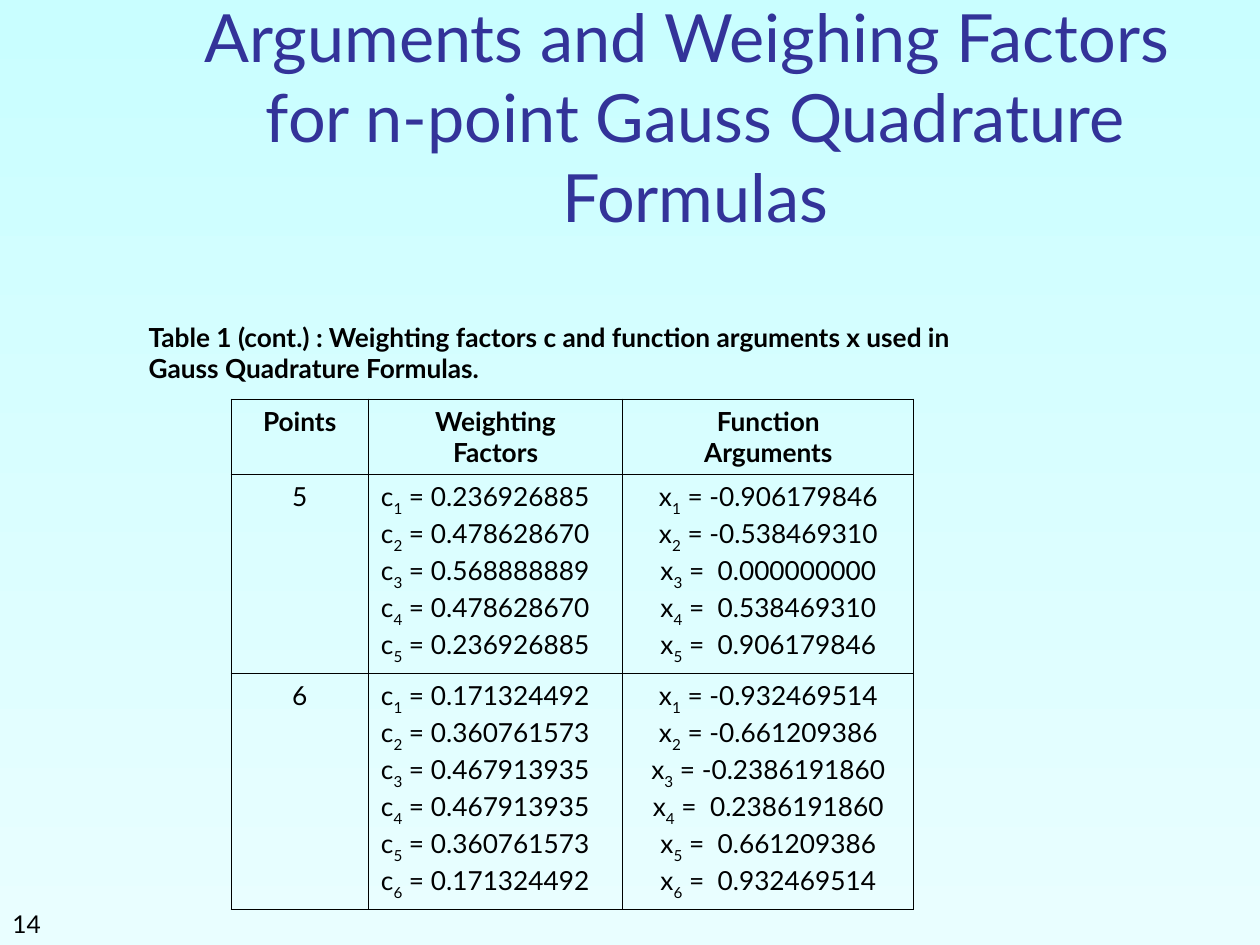
from lxml.etree import SubElement
from pptx import Presentation
from pptx.dml.color import RGBColor
from pptx.enum.text import MSO_ANCHOR as Anchor, PP_ALIGN as Align
from pptx.oxml.ns import qn
from pptx.util import Pt

COLORS = {"text": "000000", "title": "333399", "top": "C9FEFF", "bottom": "E9FEFF"}

FORMULAS = {
    "5": (
        ["0.236926885", "0.478628670", "0.568888889", "0.478628670", "0.236926885"],
        ["-0.906179846", "-0.538469310", " 0.000000000", " 0.538469310", " 0.906179846"],
    ),
    "6": (
        ["0.171324492", "0.360761573", "0.467913935",
         "0.467913935", "0.360761573", "0.171324492"],
        ["-0.932469514", "-0.661209386", "-0.2386191860",
         " 0.2386191860", " 0.661209386", " 0.932469514"],
    ),
}


def rgb(name):
    return RGBColor.from_string(COLORS[name])


def equations(symbol, values):
    return [(symbol, str(i), f" = {value}") for i, value in enumerate(values, 1)]


class SlideBuilder:
    font = "Lato"
    body_size = 15

    def __init__(self, prs):
        self.s = prs.slides.add_slide(prs.slide_layouts[6])

    def background(self, *names):
        fill = self.s.background.fill
        fill.gradient()
        fill.gradient_angle = 270
        for stop, position, name in zip(fill.gradient_stops, (0, 1), names):
            stop.position = position
            stop.color.rgb = rgb(name)

    def style(self, p, size, color="text", bold=False, align=Align.LEFT):
        p.alignment = align
        for r in p.runs:
            r.font.name = self.font
            r.font.size = Pt(size)
            r.font.bold = bold
            r.font.color.rgb = rgb(color)

    def text(self, text, box, size, anchor=Anchor.TOP, before=0, **look):
        sp = self.s.shapes.add_textbox(*map(Pt, box))
        tf = sp.text_frame
        tf.word_wrap = True
        tf.vertical_anchor = anchor
        tf.text = text
        p = tf.paragraphs[0]
        p.space_before = Pt(before)
        self.style(p, size, **look)

    def borders(self, cell, top, bottom):
        tc_pr = cell._tc.get_or_add_tcPr()
        for side, width in (("L", 0.45), ("R", 0.45), ("T", top), ("B", bottom)):
            ln = SubElement(tc_pr, qn(f"a:ln{side}"), w=str(int(Pt(width))))
            fill = SubElement(ln, qn("a:solidFill"))
            SubElement(fill, qn("a:srgbClr"), val=COLORS["text"])

    def cell(self, cell, lines, bold, align):
        tf = cell.text_frame
        for i, parts in enumerate(lines):
            p = tf.add_paragraph() if i else tf.paragraphs[0]
            for j, part in enumerate(parts):
                r = p.add_run()
                r.text = part
                if j == 1:
                    r._r.get_or_add_rPr().set("baseline", "-30000")
            self.style(p, self.body_size, bold=bold, align=align)

    def table(self, rows, left, top, widths, heights):
        box = left, top, sum(widths), sum(heights)
        table = self.s.shapes.add_table(len(rows), len(widths), *map(Pt, box)).table
        table.horz_banding = table.first_row = False
        for column, width in zip(table.columns, widths):
            column.width = Pt(width)
        for i, (row, height) in enumerate(zip(rows, heights)):
            table.rows[i].height = Pt(height)
            for j, lines in enumerate(row):
                cell = table.cell(i, j)
                align = Align.LEFT if i and j == 1 else Align.CENTER
                self.cell(cell, lines, i == 0, align)
                last = i == len(rows) - 1
                self.borders(cell, 0.34 if i else 0.45, 0.45 if last else 0.34)
                cell.fill.background()


def main():
    prs = Presentation()
    prs.slide_width, prs.slide_height = Pt(720), Pt(540)
    slide = SlideBuilder(prs)
    slide.background("top", "bottom")
    slide.text("14", (0, 522, 150, 18), 14, anchor=Anchor.BOTTOM)
    slide.text("Arguments and Weighing Factors  for n-point Gauss Quadrature Formulas",
               (90.7, 48.2, 613.4, 90), 38, anchor=Anchor.BOTTOM,
               color="title", align=Align.CENTER)
    header = [[("Points",)],
              [("Weighting",), ("Factors",)],
              [("Function",), ("Arguments",)]]
    rows = [header] + [
        [[(points,)], equations("c", factors), equations("x", arguments)]
        for points, (factors, arguments) in FORMULAS.items()
    ]
    slide.table(rows, 132, 228, (78.5, 145.4, 166.3), (43.2, 113.5, 134.8))
    slide.text("Table 1 (cont.) : Weighting factors c and function arguments x used in"
               "\vGauss Quadrature Formulas.",
               (77.8, 180, 581.8, 70.6), 15, before=9.4, bold=True)
    prs.save("out.pptx")


if __name__ == "__main__":
    main()
